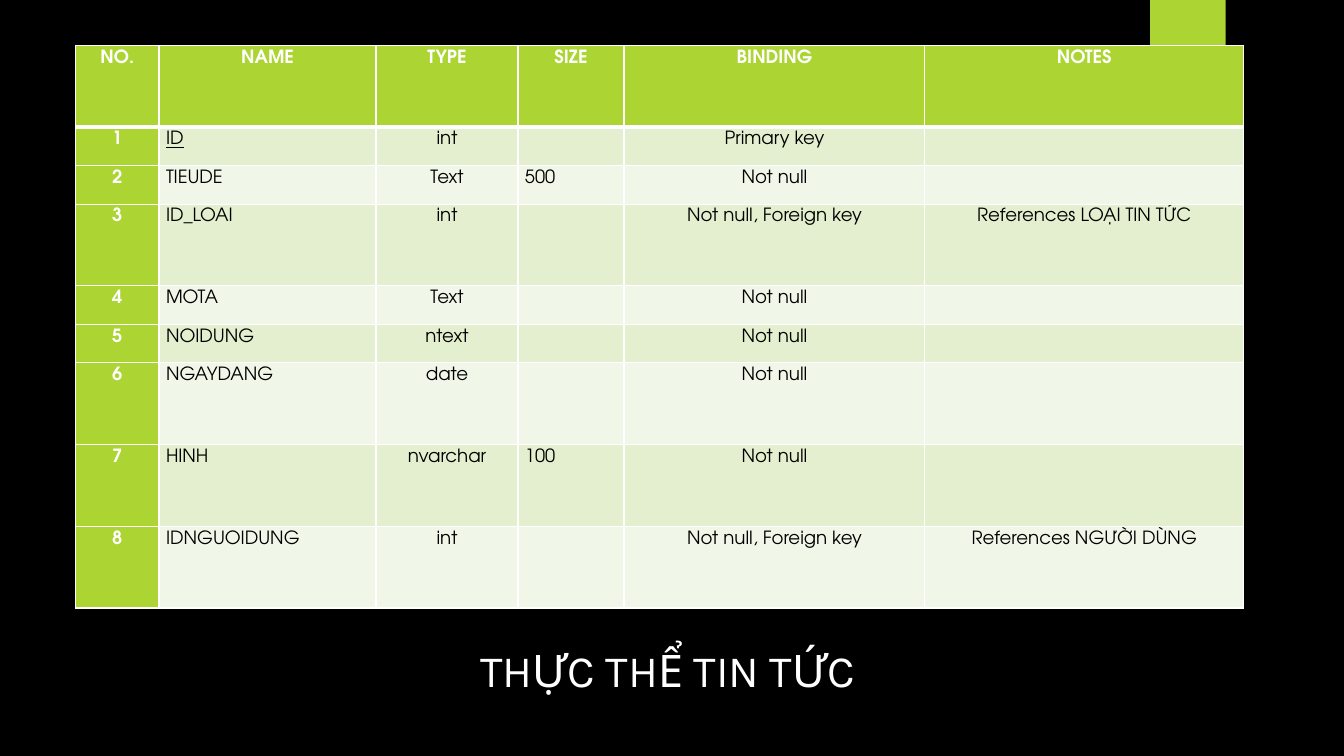
from lxml.etree import SubElement
from pptx import Presentation
from pptx.dml.color import RGBColor
from pptx.enum.shapes import MSO_SHAPE
from pptx.enum.text import MSO_ANCHOR, MSO_AUTO_SIZE, PP_ALIGN
from pptx.oxml.ns import qn
from pptx.util import Pt

HUES = {"black": "000000", "white": "FFFFFF", "green": "ACD433",
        "odd": "E3EFCE", "even": "F1F7E8"}
RGB = {name: RGBColor.from_string(code) for name, code in HUES.items()}

WIDTHS = [59.6, 155, 101.4, 75.7, 215, 227.5]
TALL, SHORT = 58.4, 27.5
HEADS = ["NO.", "NAME", "TYPE", "SIZE", "BINDING", "NOTES"]
FIELDS = [
    ("ID", "int", "", "Primary key", "", SHORT),
    ("TIEUDE", "Text", "500", "Not null", "", SHORT),
    ("ID_LOAI", "int", "", "Not null, Foreign key", "References LOẠI TIN TỨC", TALL),
    ("MOTA", "Text", "", "Not null", "", SHORT),
    ("NOIDUNG", "ntext", "", "Not null", "", SHORT),
    ("NGAYDANG", "date", "", "Not null", "", TALL),
    ("HINH", "nvarchar", "100", "Not null", "", TALL),
    ("IDNGUOIDUNG", "int", "", "Not null, Foreign key", "References NGƯỜI DÙNG", TALL),
]
INSETS = {"margin_left": Pt(5), "margin_right": Pt(5),
          "margin_top": 0, "margin_bottom": 0}


def put(item, style):
    """Set each attribute of item named in style."""
    for key, value in style.items():
        setattr(item, key, value)


def edge(cell, side, width):
    line = SubElement(cell._tc.get_or_add_tcPr(), qn(f"a:ln{side}"), w=str(Pt(width)))
    fill = SubElement(line, qn("a:solidFill"))
    SubElement(fill, qn("a:srgbClr"), val=HUES["white"])


deck = Presentation()
put(deck, {"slide_width": Pt(960), "slide_height": Pt(540)})
slide = deck.slides.add_slide(deck.slide_layouts[5])
slide.background.fill.solid()
slide.background.fill.fore_color.rgb = RGB["black"]

# Green tab behind the table
tab = slide.shapes.add_shape(MSO_SHAPE.RECTANGLE, Pt(821.5), 0, Pt(54), Pt(90))
tab.shadow.inherit = False
tab.fill.solid()
tab.fill.fore_color.rgb = RGB["green"]
tab.line.fill.background()

# Title
title = slide.shapes.title
put(title, {"left": Pt(288), "top": Pt(455.8), "width": Pt(378), "height": Pt(46)})
frame = title.text_frame
frame.text = "THỰC THỂ TIN TỨC"
put(frame, {"word_wrap": True, "vertical_anchor": MSO_ANCHOR.TOP,
            "auto_size": MSO_AUTO_SIZE.SHAPE_TO_FIT_TEXT})
frame.paragraphs[0].alignment = PP_ALIGN.CENTER
font = frame.paragraphs[0].runs[0].font
put(font, {"name": "Karla", "size": Pt(32)})
font.color.rgb = RGB["white"]

# Table of fields
rows = [HEADS] + [[str(n), *field[:-1]] for n, field in enumerate(FIELDS, 1)]
highs = [TALL] + [field[-1] for field in FIELDS]
table = slide.shapes.add_table(len(rows), len(HEADS), Pt(54), Pt(32.4),
                               Pt(sum(WIDTHS)), Pt(sum(highs))).table
put(table, {"first_row": True, "first_col": True, "horz_banding": True})
for col, width in zip(table.columns, WIDTHS):
    col.width = Pt(width)

for r, row in enumerate(rows):
    table.rows[r].height = Pt(highs[r])
    for c, text in enumerate(row):
        cell = table.cell(r, c)
        label = r == 0 or c == 0
        put(cell, INSETS)
        for side in "LRTB":
            thick = (r, side) in [(0, "B"), (1, "T")]
            edge(cell, side, 3 if thick else 1)
        cell.fill.solid()
        cell.fill.fore_color.rgb = RGB["green" if label else "odd" if r % 2 else "even"]
        if not text:
            continue
        para = cell.text_frame.paragraphs[0]
        left = r > 0 and HEADS[c] in ("NAME", "SIZE")
        put(para, {"alignment": PP_ALIGN.LEFT if left else PP_ALIGN.CENTER,
                   "line_spacing": 1.25, "space_after": Pt(8)})
        run = para.add_run()
        run.text = text
        put(run.font, {"name": "TeX Gyre Adventor", "size": Pt(13),
                       "bold": label, "underline": text == "ID"})
        run.font.color.rgb = RGB["white" if label else "black"]

deck.save("out.pptx")
